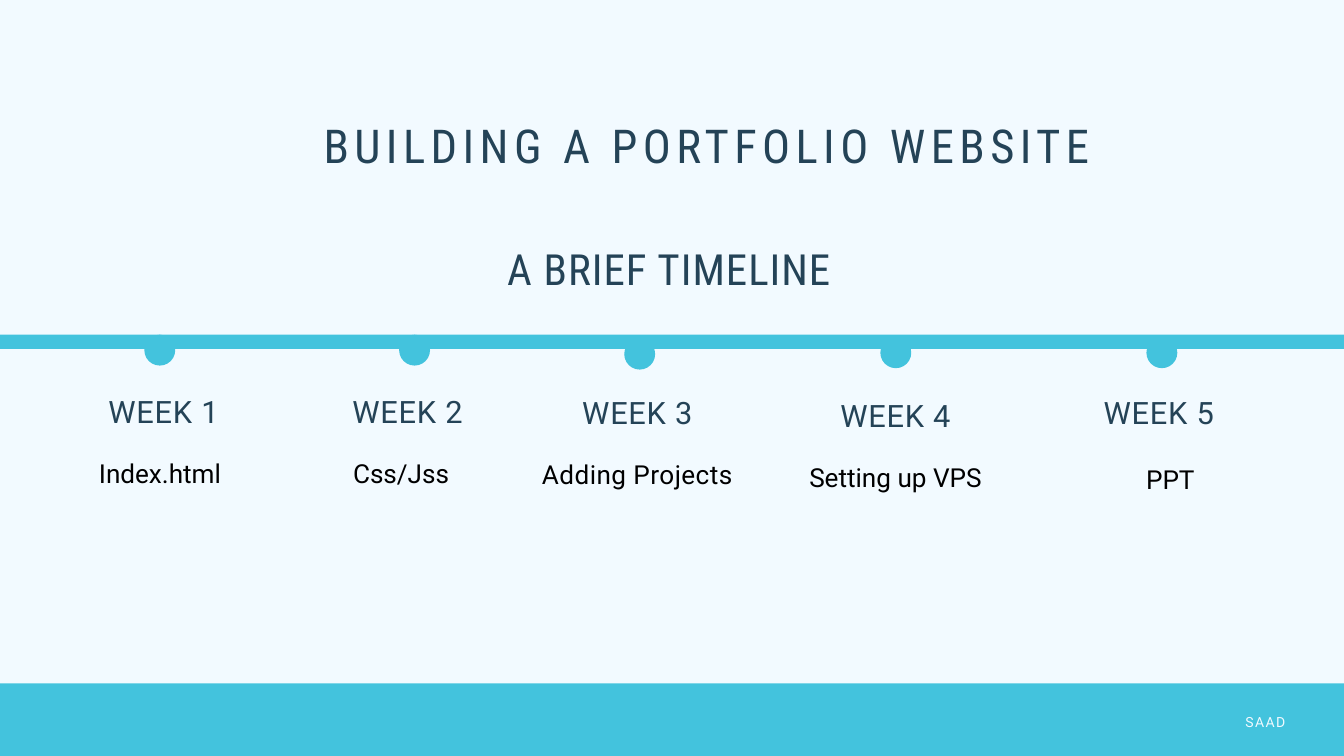
from pptx import Presentation
from pptx.dml.color import RGBColor
from pptx.enum.shapes import MSO_SHAPE
from pptx.enum.text import PP_ALIGN
from pptx.util import Pt

CENTER, RIGHT = PP_ALIGN.CENTER, PP_ALIGN.RIGHT
RECTANGLE, OVAL = MSO_SHAPE.RECTANGLE, MSO_SHAPE.OVAL

PALE = RGBColor(0xF2, 0xFA, 0xFF)
TEAL = RGBColor(0x43, 0xC3, 0xDD)
NAVY = RGBColor(0x24, 0x43, 0x57)
BLACK = RGBColor(0, 0, 0)

SLIDE_WIDTH, SLIDE_HEIGHT = 1440, 810
DOT_SIZE = 33.1
WEEK_WIDTH, TASK_WIDTH = 231, 261.4

# Text styles: font, size, colour, letter spacing, line height
TITLE = ("Roboto Condensed", 50, NAVY, 5.8, 62.1)
SUBTITLE = ("Roboto Condensed", 46, NAVY, 1.1, 54.7)
WEEK = ("Roboto", 33, NAVY, 0.8, 46.2)
TASK = ("Roboto", 28, BLACK, 0, 29.4)
SPACED_TASK = ("Roboto", 28, BLACK, 0.5, 29.4)
FOOTER = ("Roboto", 15, PALE, 1.6, 21.8)

# Headings: text, style, left, top, width, alignment
HEADINGS = [
    ("BUILDING A PORTFOLIO WEBSITE", TITLE, 273.6, 123.1, 967.7, CENTER),
    ("A BRIEF TIMELINE", SUBTITLE, 187.9, 259.9, 1057.7, CENTER),
]
FOOTER_NOTE = ("SAAD", FOOTER, 123.1, 760.3, 1254.2, RIGHT)

# Milestones: week, task, task style, then (centre x, top) of dot, week and task
MILESTONES = [
    ("WEEK 1", "Index.html", TASK, (171.2, 358.6), (175.3, 414.7), (171.4, 494.5)),
    ("WEEK 2", "Css/Jss", TASK, (444.2, 358.6), (436.7, 414), (429.7, 494.5)),
    ("WEEK 3", "Adding Projects", SPACED_TASK, (685.4, 362.9), (682.9, 415.4), (682.9, 495.2)),
    ("WEEK 4", "Setting up VPS", TASK, (959.8, 361.4), (959.4, 418.3), (959.4, 498.1)),
    ("WEEK 5", "PPT", TASK, (1244.9, 361.4), (1241.6, 415.4), (1253.9, 501)),
]


def add_block(slide, kind, left, top, width, height):
    shape = slide.shapes.add_shape(kind, Pt(left), Pt(top), Pt(width), Pt(height))
    shape.shadow.inherit = False
    shape.fill.solid()
    shape.fill.fore_color.rgb = TEAL
    shape.line.fill.background()


def add_label(slide, text, style, left, top, width, alignment):
    font_name, size, color, spacing, line_height = style
    box = slide.shapes.add_textbox(Pt(left), Pt(top), Pt(width), Pt(line_height))
    frame = box.text_frame
    frame.word_wrap = True
    frame.margin_left = frame.margin_right = frame.margin_top = frame.margin_bottom = 0
    frame.text = text
    paragraph = frame.paragraphs[0]
    paragraph.alignment = alignment
    paragraph.line_spacing = Pt(line_height)
    run = paragraph.runs[0]
    run.font.name = font_name
    run.font.size = Pt(size)
    run.font.color.rgb = color
    if spacing:
        run.font._element.set("spc", str(round(spacing * 100)))


def main():
    presentation = Presentation()
    presentation.slide_width = Pt(SLIDE_WIDTH)
    presentation.slide_height = Pt(SLIDE_HEIGHT)
    slide = presentation.slides.add_slide(presentation.slide_layouts[6])
    slide.background.fill.solid()
    slide.background.fill.fore_color.rgb = PALE

    # Timeline bar and headings
    add_block(slide, RECTANGLE, 0, 358.6, SLIDE_WIDTH, 15.1)
    for heading in HEADINGS:
        add_label(slide, *heading)

    # Footer band
    add_block(slide, RECTANGLE, 0, 732.2, SLIDE_WIDTH, 114.5)
    add_label(slide, *FOOTER_NOTE)

    # Milestones, each part centred on its own x
    for week, task, task_style, dot_at, week_at, task_at in MILESTONES:
        add_block(slide, OVAL, dot_at[0] - DOT_SIZE / 2, dot_at[1], DOT_SIZE, DOT_SIZE)
        for text, style, (center, top), width in (
            (week, WEEK, week_at, WEEK_WIDTH),
            (task, task_style, task_at, TASK_WIDTH),
        ):
            add_label(slide, text, style, center - width / 2, top, width, CENTER)

    presentation.save("out.pptx")


if __name__ == "__main__":
    main()
